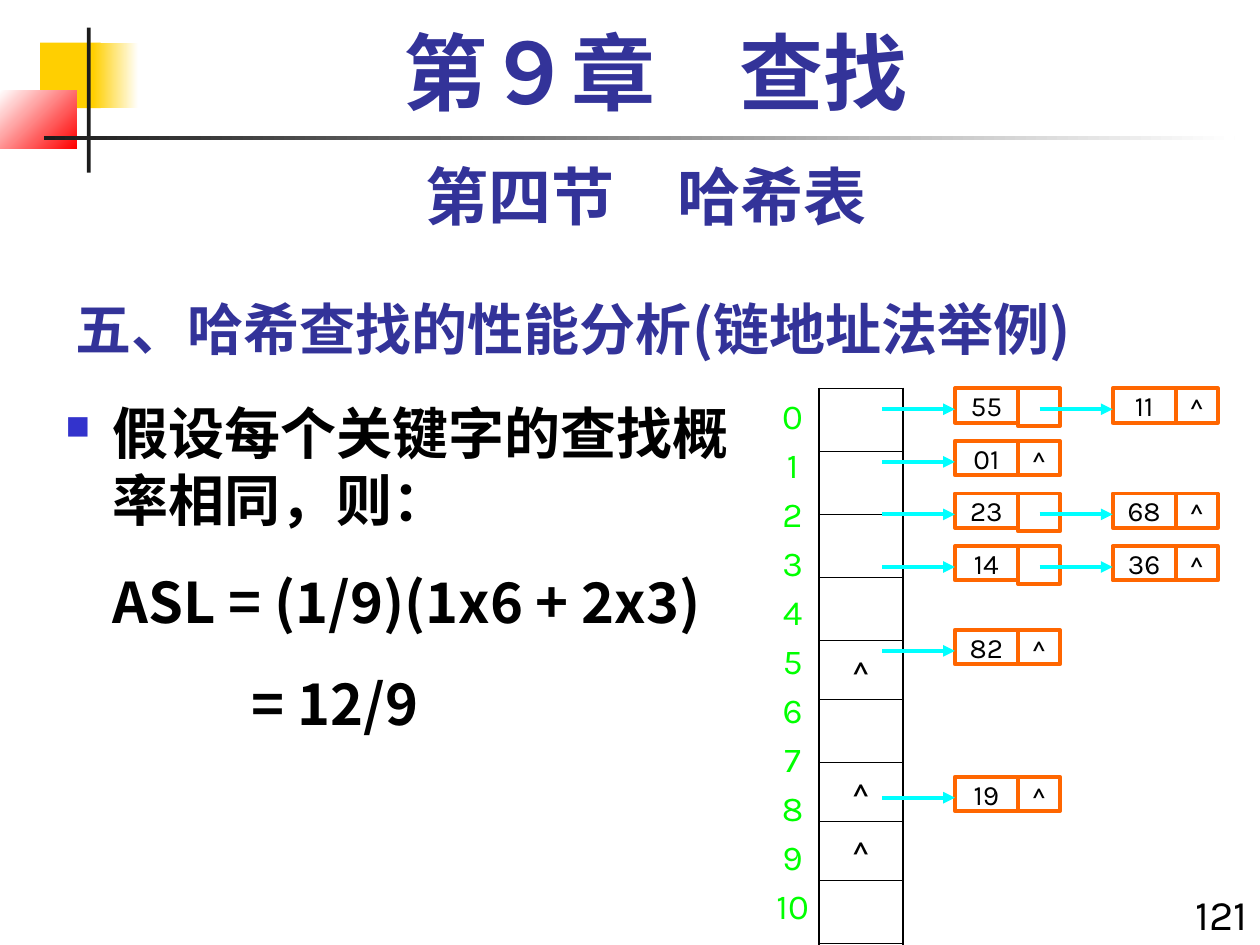
from lxml.etree import SubElement
from pptx import Presentation
from pptx.dml.color import RGBColor
from pptx.enum.shapes import MSO_CONNECTOR, MSO_SHAPE
from pptx.enum.text import MSO_ANCHOR, PP_ALIGN
from pptx.oxml import parse_xml
from pptx.oxml.ns import nsdecls, qn
from pptx.util import Cm, Pt

COLORS = {
    "gold": "FFCF01", "white": "FFFFFF", "red": "FF0000", "dark": "1C1C1C",
    "navy": "333399", "black": "000000", "green": "00FF00",
    "orange": "FF6600", "cyan": "00FFFF", "bullet": "3333CC",
}
HAN = "Noto Sans CJK SC"
LATIN = "Karla"
HEAD = {"name": HAN, "size": Pt(32), "bold": True}
CENTER = {"alignment": PP_ALIGN.CENTER}

# top of the chain in cm, then its keys
CHAINS = [
    (7.83, ["55", "11"]),
    (8.89, ["01"]),
    (9.95, ["23", "68"]),
    (11.01, ["14", "36"]),
    (12.7, ["82"]),
    (15.66, ["19"]),
]
NODE_X, STEP, KEY_W, LINK_W = 19.25, 3.18, 1.27, 0.85
ARROW_W, ARROW_DY = 1.47, 0.42
ROWS, EMPTY_END = 11, {4, 6, 7, 9, 10}


def rgb(name):
    return RGBColor.from_string(COLORS[name])


def lengths(*values):
    return [Cm(v) for v in values]


def apply(target, form):
    for key, value in form.items():
        setattr(target, key, value)


def write(par, text, font, color="black", form=None):
    run = par.add_run()
    run.text = text
    apply(run.font, font)
    run.font.color.rgb = rgb(color)
    SubElement(run.font._element, qn("a:ea")).set("typeface", HAN)
    apply(par, form or {})


def add_text(slide, box, lines, font, color="black", form=None):
    frame = slide.shapes.add_textbox(*lengths(*box)).text_frame
    frame.word_wrap = True
    for i, line in enumerate(lines):
        par = frame.add_paragraph() if i else frame.paragraphs[0]
        write(par, line, font, color, form)
    return frame


def add_block(slide, box, first, last=None, angle=0):
    """Draw a borderless rectangle, plain or fading from first to last."""
    shape = slide.shapes.add_shape(MSO_SHAPE.RECTANGLE, *lengths(*box))
    shape.shadow.inherit = False
    shape.line.fill.background()
    if last is None:
        shape.fill.solid()
        shape.fill.fore_color.rgb = rgb(first)
        return
    shape.fill.gradient()
    shape.fill.gradient_angle = angle
    for stop, name in zip(shape.fill.gradient_stops, (first, last)):
        stop.color.rgb = rgb(name)


def add_decor(slide):
    add_block(slide, (0.81, 0.86, 1.22, 1.32), "gold")
    add_block(slide, (1.88, 0.86, 0.91, 1.32), "gold", "white")
    add_block(slide, (0, 1.83, 1.55, 1.17), "white", "red", 315)
    add_block(slide, (1.75, 0.56, 0.08, 2.92), "dark")
    add_block(slide, (0.89, 2.74, 24, 0.08), "dark", "white")


def add_title(slide):
    title = slide.shapes.title
    box = lengths(1.27, 5.51, 24.13, 1.91)
    apply(title, dict(zip(("left", "top", "width", "height"), box)))
    title.text_frame.vertical_anchor = MSO_ANCHOR.BOTTOM
    write(title.text_frame.paragraphs[0], "五、哈希查找的性能分析(链地址法举例)",
          HEAD, "navy", {"alignment": PP_ALIGN.LEFT})


def indent(par, left, first=0, mark=None):
    props = par._p.get_or_add_pPr()
    props.set("marL", str(Cm(left)))
    props.set("indent", str(Cm(first)))
    if mark:
        color = SubElement(props, qn("a:buClr"))
        SubElement(color, qn("a:srgbClr")).set("val", COLORS["bullet"])
        SubElement(props, qn("a:buSzPct")).set("val", "60000")
        SubElement(props, qn("a:buChar")).set("char", mark)


def add_body(slide):
    lines = ["假设每个关键字的查找概率相同，则：",
             "ASL = (1/9)(1x6 + 2x3)", "= 12/9"]
    frame = add_text(slide, (1.07, 7.83, 13.97, 11.22), lines, HEAD,
                     form={"line_spacing": Pt(38.3), "space_before": Pt(20)})
    frame.margin_top = Cm(0.2)
    first, second, third = frame.paragraphs
    first.space_before = Pt(0)
    indent(first, 0.95, -0.95, "■")
    indent(second, 0.95)
    indent(third, 3.76)


def set_border(cell, side, width):
    cell._tc.get_or_add_tcPr().append(parse_xml(
        f'<a:{side} {nsdecls("a")} w="{Pt(width)}"><a:solidFill>'
        f'<a:srgbClr val="{COLORS["black"]}"/></a:solidFill></a:{side}>'))


def add_slots(slide):
    """Draw the column of hash slots."""
    box = lengths(16.51, 7.83, 1.69, 10.59)
    table = slide.shapes.add_table(ROWS, 1, *box).table
    apply(table, {"first_row": False, "horz_banding": False})
    for i in range(ROWS):
        cell = table.cell(i, 0)
        edges = {"lnL": 1.08, "lnR": 1.08,
                 "lnT": 0.45 if i else 1.08,
                 "lnB": 0.45 if i < ROWS - 1 else 1.08}
        for side, width in edges.items():
            set_border(cell, side, width)
        cell.fill.background()
        par = cell.text_frame.paragraphs[0]
        if i in EMPTY_END:
            write(par, "^", {"name": LATIN, "size": Pt(20)},
                  form={**CENTER, "line_spacing": 1.1})
        else:
            end = SubElement(par._p, qn("a:endParaRPr"))
            end.set("sz", "2400")
            SubElement(end, qn("a:latin")).set("typeface", LATIN)


def add_field(group, box, text):
    shape = group.shapes.add_shape(MSO_SHAPE.RECTANGLE, *lengths(*box))
    shape.shadow.inherit = False
    shape.fill.background()
    shape.line.color.rgb = rgb("orange")
    shape.line.width = Pt(2.25)
    frame = shape.text_frame
    sides = ("left", "top", "right", "bottom")
    apply(frame, {f"margin_{side}": 0 for side in sides})
    if text:
        write(frame.paragraphs[0], text, {"name": LATIN, "size": Pt(16)},
              form=CENTER)


def add_node(slide, left, top, key, last):
    group = slide.shapes.add_group_shape()
    add_field(group, (left, top, KEY_W, 0.69), key)
    add_field(group, (left + KEY_W, top, LINK_W, 0.69 if last else 0.76),
              "^" if last else "")


def add_arrow(slide, tip, y):
    line = slide.shapes.add_connector(
        MSO_CONNECTOR.STRAIGHT, *lengths(tip - ARROW_W, y, tip, y))
    line.line.color.rgb = rgb("cyan")
    line.line.width = Pt(2.25)
    SubElement(line.line._get_or_add_ln(), qn("a:tailEnd")).set("type", "triangle")
    SubElement(line._element.spPr, qn("a:effectLst"))


def add_chains(slide):
    spots = [(NODE_X + i * STEP, top, key, i == len(keys) - 1)
             for top, keys in CHAINS for i, key in enumerate(keys)]
    for spot in spots:
        add_node(slide, *spot)
    for left, top, *_ in spots:
        add_arrow(slide, left, top + ARROW_DY)


def main():
    deck = Presentation()
    apply(deck, {"slide_width": Cm(25.4), "slide_height": Cm(19.05)})
    slide = deck.slides.add_slide(deck.slide_layouts[5])
    add_decor(slide)
    add_title(slide)
    add_text(slide, (23.06, 17.78, 2.34, 1.5), ["121"],
             {"name": LATIN, "size": Pt(24)}, form={"alignment": PP_ALIGN.RIGHT})
    add_text(slide, (1.27, 3.02, 23.5, 1.78), ["第四节　哈希表"],
             {"name": LATIN, "size": Pt(36), "bold": True}, "navy",
             {**CENTER, "line_spacing": Pt(44)})
    add_body(slide)
    add_text(slide, (1.69, 0.42, 23.06, 2.12), ["第９章　查找"],
             {"name": "Times New Roman", "size": Pt(48), "bold": True}, "navy",
             {**CENTER, "line_spacing": Pt(54)})
    add_slots(slide)
    add_text(slide, (15.24, 7.83, 1.48, 10.72), [str(i) for i in range(ROWS)],
             {"name": LATIN, "size": Pt(20)}, "green",
             {**CENTER, "space_before": Pt(4)})
    add_chains(slide)
    deck.save("out.pptx")


if __name__ == "__main__":
    main()
